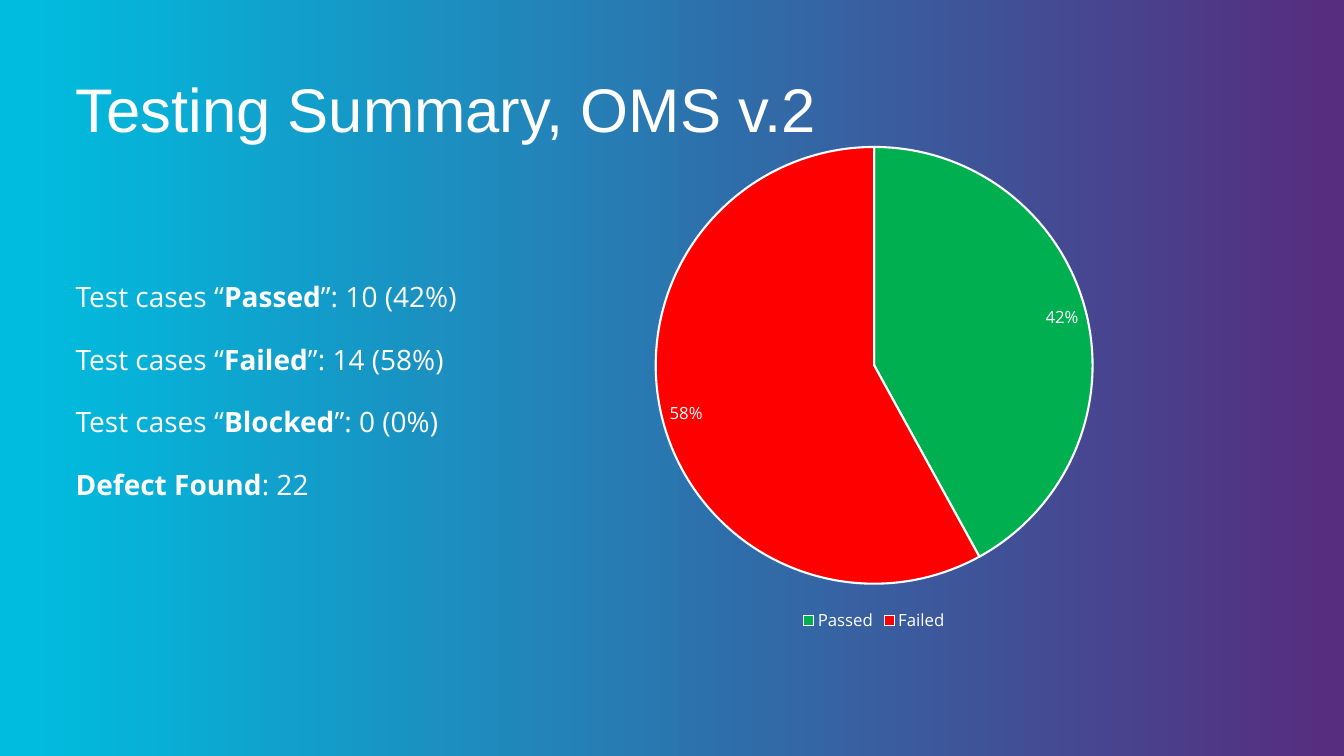
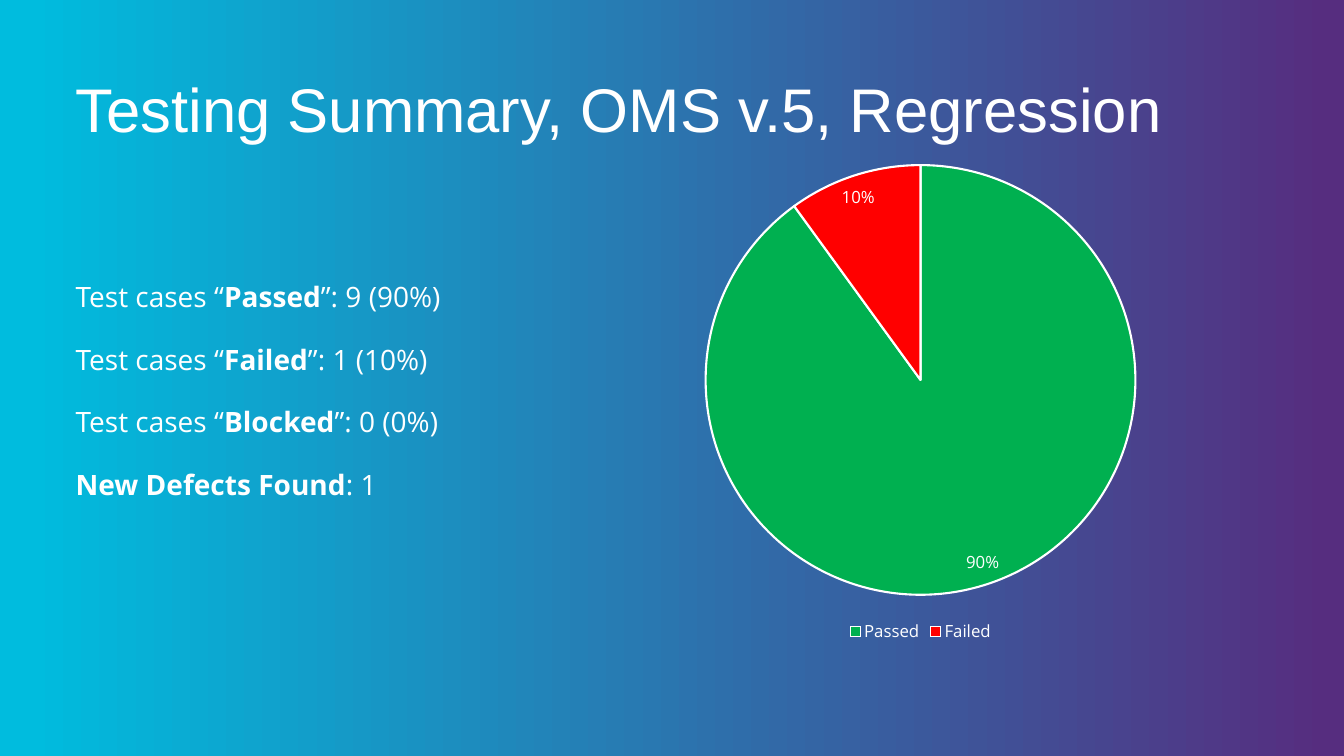
from dataclasses import dataclass

from pptx import Presentation
from pptx.chart.data import CategoryChartData
from pptx.dml.color import RGBColor
from pptx.enum.chart import XL_CHART_TYPE, XL_LABEL_POSITION, XL_LEGEND_POSITION
from pptx.enum.text import MSO_ANCHOR, PP_ALIGN
from pptx.slide import Slide
from pptx.util import Inches, Pt

COLORS = {
    "text": "FFFFFF",
    "Passed": "00B050",
    "Failed": "FF0000",
    "gradient_start": "562D7F",
    "gradient_end": "00BCDE",
}
TITLE_FONT = {"name": "Arial", "size": Pt(44)}
BODY_FONT = {"name": "Open Sans", "size": Pt(20)}
CHART_FONT = {"name": "Open Sans", "size": Pt(12)}
FRAME_FORMAT = {
    "word_wrap": True,
    "margin_left": Inches(0),
    "margin_right": Inches(0.1),
    "margin_top": Inches(0.05),
    "margin_bottom": Inches(0.05),
}


@dataclass(frozen=True)
class Box:
    left: float
    top: float
    width: float
    height: float

    def lengths(self) -> tuple:
        return tuple(Inches(n) for n in (self.left, self.top, self.width, self.height))


@dataclass(frozen=True)
class Summary:
    title: str
    results: dict[str, str]
    defect_label: str
    defect_count: int
    shares: dict[str, float]
    chart_box: Box


TITLE_BOX = Box(0.75, 0.75, 12, 0.75)
BODY_BOX = Box(0.75, 2.72, 4.75, 2.68)

SUMMARIES = [
    Summary(
        "Testing Summary, OMS v.2",
        {"Passed": "10 (42%)", "Failed": "14 (58%)", "Blocked": "0 (0%)"},
        "Defect Found", 22,
        {"Passed": 0.42, "Failed": 0.58},
        Box(4.9, 1.32, 7.54, 4.99),
    ),
    Summary(
        "Testing Summary, OMS v.5, Regression",
        {"Passed": "9 (90%)", "Failed": "1 (10%)", "Blocked": "0 (0%)"},
        "New Defects Found", 1,
        {"Passed": 0.9, "Failed": 0.1},
        Box(5.5, 1.5, 7.26, 4.92),
    ),
]


def color(name: str) -> RGBColor:
    return RGBColor.from_string(COLORS[name])


def apply_format(target, values: dict) -> None:
    for name, value in values.items():
        setattr(target, name, value)


def format_font(font, values: dict) -> None:
    apply_format(font, values)
    font.color.rgb = color("text")


def add_text_frame(slide: Slide, box: Box, anchor: MSO_ANCHOR):
    text_frame = slide.shapes.add_textbox(*box.lengths()).text_frame
    apply_format(text_frame, FRAME_FORMAT | {"vertical_anchor": anchor})
    return text_frame


def add_title(slide: Slide, title: str) -> None:
    paragraph = add_text_frame(slide, TITLE_BOX, MSO_ANCHOR.BOTTOM).paragraphs[0]
    paragraph.text = title
    paragraph.line_spacing = 0.9
    format_font(paragraph.runs[0].font, TITLE_FONT)


def add_results(slide: Slide, summary: Summary) -> None:
    # Each line is a lead, a bold label and a tail
    lines = [("Test cases “", label, f"”: {result}")
             for label, result in summary.results.items()]
    lines.append(("", summary.defect_label, f": {summary.defect_count}"))

    text_frame = add_text_frame(slide, BODY_BOX, MSO_ANCHOR.TOP)
    for index, parts in enumerate(lines):
        paragraph = text_frame.add_paragraph() if index else text_frame.paragraphs[0]
        paragraph.alignment = PP_ALIGN.JUSTIFY
        if index:
            paragraph.space_before = Pt(20.9)
        for part, bold in zip(parts, (False, True, False)):
            if part:
                run = paragraph.add_run()
                run.text = part
                format_font(run.font, BODY_FONT | {"bold": bold})


def add_pie(slide: Slide, summary: Summary) -> None:
    data = CategoryChartData(number_format="0%")
    data.categories = list(summary.shares)
    data.add_series("Series 1", list(summary.shares.values()))
    chart = slide.shapes.add_chart(
        XL_CHART_TYPE.PIE, *summary.chart_box.lengths(), data).chart
    apply_format(chart, {"has_title": False, "has_legend": True})
    format_font(chart.font, CHART_FONT | {"size": Pt(10)})

    # Legend
    apply_format(chart.legend, {
        "position": XL_LEGEND_POSITION.BOTTOM, "include_in_layout": False})
    format_font(chart.legend.font, CHART_FONT)

    # Slices and their labels
    plot = chart.plots[0]
    plot.vary_by_categories = True
    series = plot.series[0]
    for index, category in enumerate(summary.shares):
        slice_format = series.points[index].format
        slice_format.fill.solid()
        slice_format.fill.fore_color.rgb = color(category)
        slice_format.line.color.rgb = color("text")
        slice_format.line.width = Pt(1.5)
    labels = series.data_labels
    apply_format(labels, {
        "show_value": True,
        "show_percentage": False,
        "number_format": "0%",
        "number_format_is_linked": False,
        "position": XL_LABEL_POSITION.BEST_FIT,
    })
    format_font(labels.font, CHART_FONT)


def set_background(presentation) -> None:
    fill = presentation.slide_master.background.fill
    fill.gradient()
    fill.gradient_angle = 180
    stops = zip(fill.gradient_stops, ("gradient_start", "gradient_end"), (0.01, 0.98))
    for stop, name, position in stops:
        stop.color.rgb = color(name)
        stop.position = position


def main() -> None:
    presentation = Presentation()
    presentation.slide_width = Inches(13.33)
    presentation.slide_height = Inches(7.5)
    set_background(presentation)
    for summary in SUMMARIES:
        slide = presentation.slides.add_slide(presentation.slide_layouts[6])
        add_title(slide, summary.title)
        add_results(slide, summary)
        add_pie(slide, summary)
    presentation.save("out.pptx")


if __name__ == "__main__":
    main()
